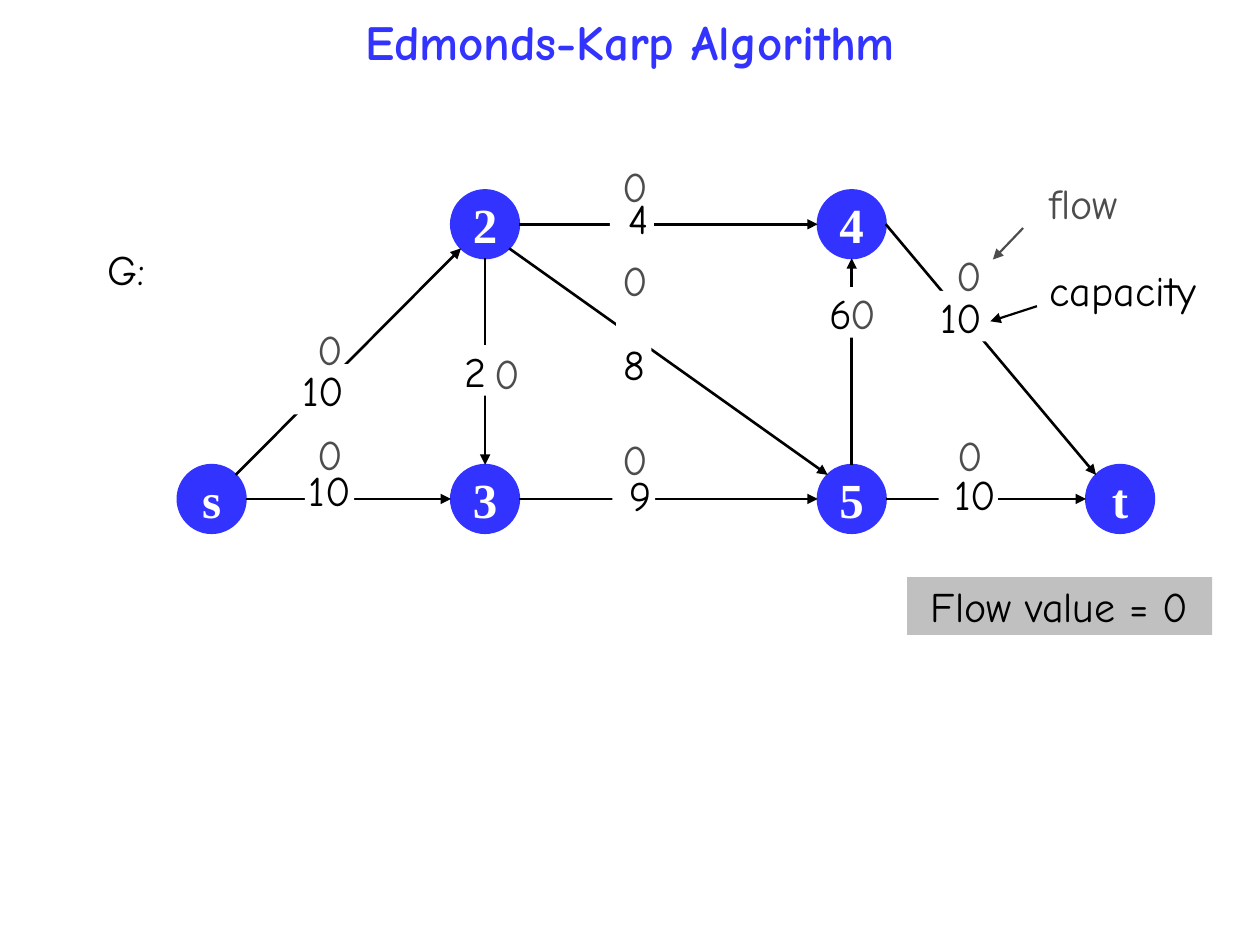
from math import cos, radians, sin

from lxml.etree import SubElement
from pptx import Presentation
from pptx.dml.color import RGBColor
from pptx.enum.shapes import MSO_CONNECTOR, MSO_SHAPE
from pptx.enum.text import MSO_ANCHOR, MSO_AUTO_SIZE, PP_ALIGN
from pptx.oxml.ns import qn
from pptx.util import Inches, Pt

BLUE, BLACK, GREY, WHITE, SILVER = "3333FF", "000000", "4D4D4D", "FFFFFF", "C0C0C0"
RADIUS = 0.27
TOP, BOTTOM = 1.78, 3.96
NODES = {
    "s": (1.68, BOTTOM), "2": (3.85, TOP), "3": (3.85, BOTTOM),
    "4": (6.76, TOP), "5": (6.76, BOTTOM), "t": (8.89, BOTTOM),
}
EDGES = [
    ("s", 45, "2", 225), ("s", 0, "3", 180), ("3", 0, "5", 180),
    ("2", 0, "4", 180), ("2", 270, "3", 90), ("5", 90, "4", 270),
    ("2", 315, "5", 135), ("4", 0, "t", 135), ("5", 0, "t", 180),
]
CAPACITIES = [
    ("10", 2.42, 3.69, 0.39, 0.4), ("10", 2.33, 2.89, 0.47, 0.4),
    (" 9", 4.86, 3.73, 0.34, 0.4), (" 8", 4.89, 2.29, 0.28, 0.81),
    (" 4", 4.84, 1.53, 0.35, 0.4), (" 10", 7.45, 3.72, 0.47, 0.4),
    ("10", 7.4, 2.31, 0.46, 0.4), (" 6", 6.39, 2.28, 0.46, 0.4),
    (" 2", 3.48, 2.74, 0.47, 0.4),
]
FLOWS = [
    (2.44, 2.57), (4.86, 1.27), (7.51, 1.98), (2.44, 3.4), (4.86, 3.44),
    (7.52, 3.41), (4.86, 2.02), (3.84, 2.76), (6.67, 2.28),
]


def color(value):
    return RGBColor.from_string(value)


class GraphSlide:
    font = "Comic Neue"
    node_font = "Times New Roman"
    size = 24
    large = 28

    def __init__(self, deck):
        self.slide = deck.slides.add_slide(deck.slide_layouts[5])

    def set_text(self, shape, text, ink, font=None, size=None, bold=False,
                 align=PP_ALIGN.CENTER, anchor=MSO_ANCHOR.TOP, inset=(0, 0), wrap=True):
        frame = shape.text_frame
        frame.word_wrap = wrap
        frame.vertical_anchor = anchor
        frame.margin_left = frame.margin_right = Inches(inset[0])
        frame.margin_top = frame.margin_bottom = Inches(inset[1])
        para = frame.paragraphs[0]
        para.alignment = align
        span = para.add_run()
        span.text = text
        span.font.name = font or self.font
        span.font.size = Pt(size or self.size)
        span.font.bold = bold
        span.font.color.rgb = color(ink)
        return para

    def title(self, text):
        title = self.slide.shapes.title
        title.left, title.top = Inches(0), Inches(-0.02)
        title.width, title.height = Inches(10), Inches(0.8)
        para = self.set_text(title, text, BLUE, size=self.large, bold=True,
                             anchor=MSO_ANCHOR.MIDDLE, inset=(0.1, 0.05))
        para.line_spacing = 0.7

    def shape(self, kind, x, y, width, height, fill):
        shape = self.slide.shapes.add_shape(
            kind, Inches(x), Inches(y), Inches(width), Inches(height))
        shape.shadow.inherit = False
        shape.fill.solid()
        shape.fill.fore_color.rgb = color(fill)
        shape.line.fill.background()
        return shape

    def node(self, name, x, y):
        circle = self.shape(MSO_SHAPE.OVAL, x - RADIUS, y - RADIUS,
                            2 * RADIUS, 2 * RADIUS, BLUE)
        circle.line.color.rgb = color(BLUE)
        circle.line.width = Pt(1.25)
        self.set_text(circle, name, WHITE, font=self.node_font, size=self.large,
                      bold=True, anchor=MSO_ANCHOR.MIDDLE, wrap=False)

    def arrow(self, start, end, ink=BLACK, width=1.5):
        line = self.slide.shapes.add_connector(
            MSO_CONNECTOR.STRAIGHT, *(Inches(value) for value in (*start, *end)))
        line.line.color.rgb = color(ink)
        line.line.width = Pt(width)
        properties = line._element.spPr
        SubElement(properties.find(qn("a:ln")), qn("a:tailEnd"), type="triangle")
        SubElement(properties, qn("a:effectLst"))

    def label(self, text, x, y, width, height, fill=WHITE, **style):
        box = self.shape(MSO_SHAPE.RECTANGLE, x, y, width, height, fill)
        self.set_text(box, text, BLACK, **style)

    def text(self, text, x, y, width, height, ink, inset=(0, 0)):
        box = self.slide.shapes.add_textbox(
            Inches(x), Inches(y), Inches(width), Inches(height))
        box.text_frame.auto_size = MSO_AUTO_SIZE.NONE
        self.set_text(box, text, ink, inset=inset)


def rim(name, angle):
    x, y = NODES[name]
    return (x + RADIUS * cos(radians(angle)), y - RADIUS * sin(radians(angle)))


def main():
    deck = Presentation()
    deck.slide_width, deck.slide_height = Inches(10), Inches(7.5)
    graph = GraphSlide(deck)
    graph.title("Edmonds-Karp Algorithm")
    for name, (x, y) in NODES.items():
        graph.node(name, x, y)
    for source, leave, target, arrive in EDGES:
        graph.arrow(rim(source, leave), rim(target, arrive))
    for capacity in CAPACITIES:
        graph.label(*capacity)
    for x, y in FLOWS:
        graph.text("0", x, y, 0.37, 0.19, GREY)
    graph.label(" G:", 0.74, 1.93, 0.48, 0.4, align=PP_ALIGN.LEFT)
    graph.label("Flow value = 0", 7.2, 4.58, 2.42, 0.46, fill=SILVER,
                anchor=MSO_ANCHOR.MIDDLE, inset=(0.1, 0.15))
    graph.text("flow", 8.05, 1.36, 1.1, 0.51, GREY, inset=(0.1, 0.05))
    graph.text("capacity", 8.15, 2.05, 1.52, 0.51, BLACK, inset=(0.1, 0.05))
    graph.arrow((8.12, 1.81), (7.88, 2.06), GREY, 1.25)
    graph.arrow((8.23, 2.43), (7.86, 2.55), BLACK, 1.25)
    deck.save("out.pptx")


if __name__ == "__main__":
    main()
